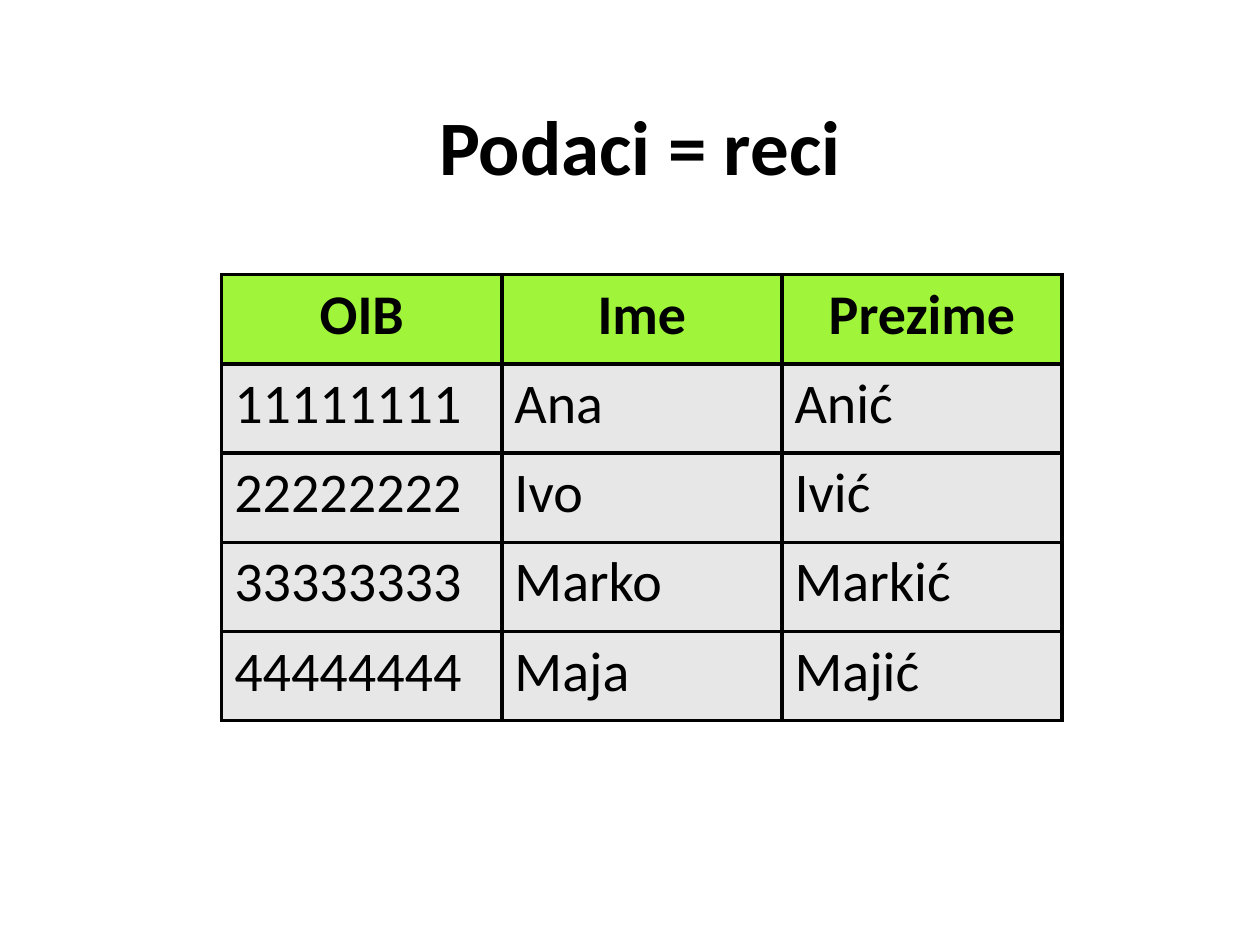
from dataclasses import dataclass

from lxml import etree
from pptx import Presentation
from pptx.dml.color import RGBColor
from pptx.enum.text import MSO_ANCHOR, PP_ALIGN
from pptx.oxml.ns import qn
from pptx.util import Inches, Pt

CENTER = PP_ALIGN.CENTER
LEFT = PP_ALIGN.LEFT
MIDDLE = MSO_ANCHOR.MIDDLE
BLANK_LAYOUT = 6
BORDER_TAGS = ("a:lnL", "a:lnR", "a:lnT", "a:lnB")


@dataclass(frozen=True)
class Theme:
    font: str = "Calibri"
    ink: str = "000000"
    header_fill: str = "A0F43A"
    body_fill: str = "E7E7E7"
    title_size: float = 44
    table_size: float = 32
    border_width: float = 2.25


@dataclass(frozen=True)
class Person:
    oib: str
    first_name: str
    surname: str

    def values(self) -> tuple[str, str, str]:
        return self.oib, self.first_name, self.surname


@dataclass(frozen=True)
class CellStyle:
    fill: str
    bold: bool
    align: PP_ALIGN


THEME = Theme()
HEADER_STYLE = CellStyle(THEME.header_fill, True, CENTER)
BODY_STYLE = CellStyle(THEME.body_fill, False, LEFT)
HEADINGS = ("OIB", "Ime", "Prezime")
PEOPLE = (
    Person("11111111", "Ana", "Anić"),
    Person("22222222", "Ivo", "Ivić"),
    Person("33333333", "Marko", "Markić"),
    Person("44444444", "Maja", "Majić"),
)


def write_text(frame, text: str, size: float, bold: bool, align: PP_ALIGN) -> None:
    para = frame.paragraphs[0]
    para.alignment = align
    span = para.add_run()
    span.text = text
    span.font.name = THEME.font
    span.font.size = Pt(size)
    span.font.bold = bold
    span.font.color.rgb = RGBColor.from_string(THEME.ink)


def add_borders(cell) -> None:
    properties = cell._tc.get_or_add_tcPr()
    for tag in BORDER_TAGS:
        line = etree.SubElement(properties, qn(tag), w=str(Pt(THEME.border_width)))
        fill = etree.SubElement(line, qn("a:solidFill"))
        etree.SubElement(fill, qn("a:srgbClr"), val=THEME.ink)


def draw_cell(cell, text: str, style: CellStyle) -> None:
    add_borders(cell)
    cell.fill.solid()
    cell.fill.fore_color.rgb = RGBColor.from_string(style.fill)
    write_text(cell.text_frame, text, THEME.table_size, style.bold, style.align)


def draw_people_table(page) -> None:
    records = [(HEADINGS, HEADER_STYLE)]
    records += [(person.values(), BODY_STYLE) for person in PEOPLE]
    table = page.shapes.add_table(
        len(records), len(HEADINGS),
        Inches(1.76), Inches(2.18), Inches(6.67), Inches(3.54),
    ).table
    for row, (values, style) in zip(table.rows, records):
        for cell, text in zip(row.cells, values):
            draw_cell(cell, text, style)


def draw_title(page, text: str) -> None:
    box = page.shapes.add_textbox(Inches(0.58), Inches(0.52), Inches(9), Inches(1.25))
    frame = box.text_frame
    frame.word_wrap = True
    frame.vertical_anchor = MIDDLE
    write_text(frame, text, THEME.title_size, True, CENTER)


def main() -> None:
    deck = Presentation()
    deck.slide_width = Inches(10)
    deck.slide_height = Inches(7.5)
    page = deck.slides.add_slide(deck.slide_layouts[BLANK_LAYOUT])
    draw_people_table(page)
    draw_title(page, "Podaci = reci")
    deck.save("out.pptx")


if __name__ == "__main__":
    main()
